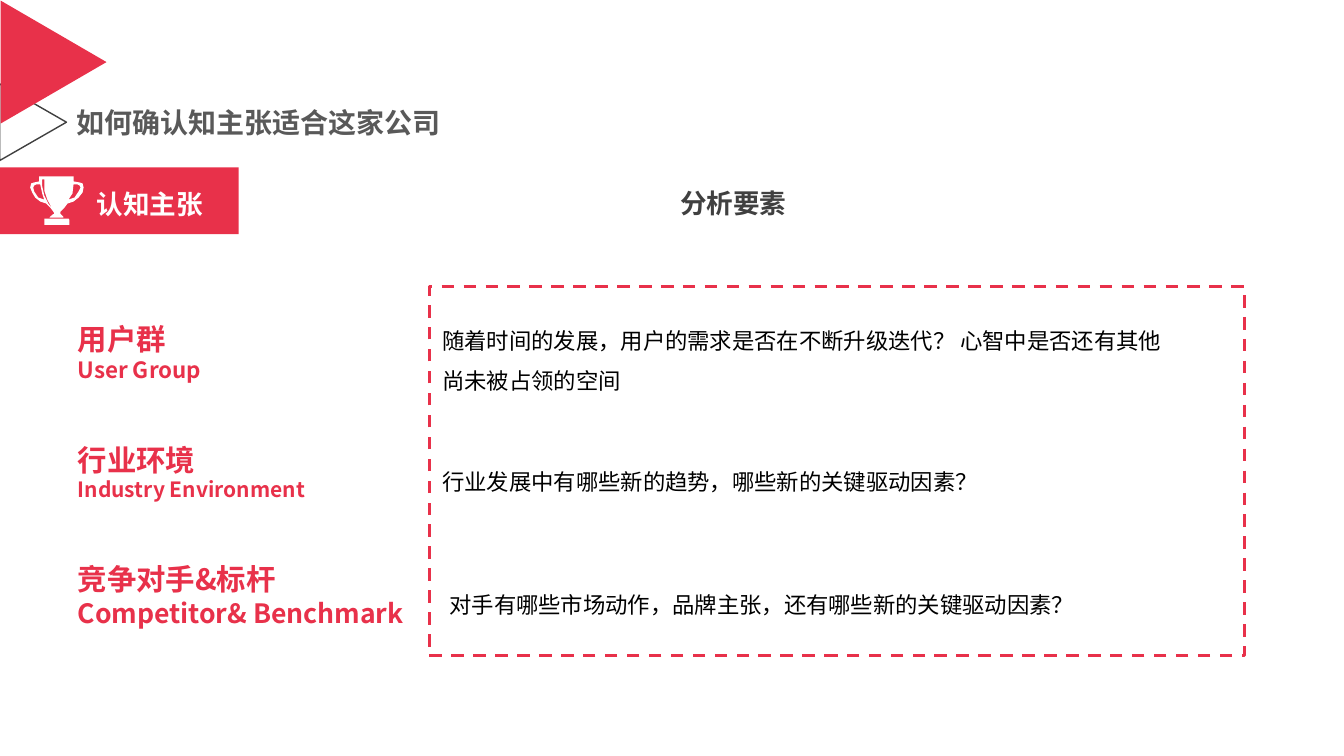
from lxml import etree
from pptx import Presentation
from pptx.dml.color import RGBColor
from pptx.enum.dml import MSO_LINE
from pptx.enum.shapes import MSO_SHAPE
from pptx.enum.text import MSO_ANCHOR, MSO_AUTO_SIZE, PP_ALIGN
from pptx.oxml.ns import qn
from pptx.util import Cm, Pt

RECT, TRIANGLE = MSO_SHAPE.RECTANGLE, MSO_SHAPE.ISOSCELES_TRIANGLE
TOP, MIDDLE = MSO_ANCHOR.TOP, MSO_ANCHOR.MIDDLE
LEFT, CENTER = PP_ALIGN.LEFT, PP_ALIGN.CENTER
FIT, FIXED = MSO_AUTO_SIZE.SHAPE_TO_FIT_TEXT, MSO_AUTO_SIZE.NONE
DASH = MSO_LINE.DASH

THEME = {
    "red": RGBColor.from_string("E8314A"),
    "dark": RGBColor.from_string("404040"),
    "grey": RGBColor.from_string("595959"),
    "black": RGBColor.from_string("000000"),
    "white": RGBColor.from_string("FFFFFF"),
    "font": "Noto Sans CJK SC",
    "banner_font": "Lato",
    "title": 20,
    "heading": 19,
    "label": 21,
    "body": 16,
}

prs = Presentation()
prs.slide_width, prs.slide_height = Cm(33.88), Cm(19.05)
s = prs.slides.add_slide(prs.slide_layouts[6])


def style(sp, fill=None, line=None, width=1):
    sp.shadow.inherit = False
    if fill:
        sp.fill.solid()
        sp.fill.fore_color.rgb = THEME[fill]
    else:
        sp.fill.background()
    if line:
        sp.line.color.rgb = THEME[line]
        sp.line.width = Pt(width)
    else:
        sp.line.fill.background()


def add_text(box, lines, color, bold=True, font="font", spacing=1.0, wrap=False,
             anchor=TOP, align=LEFT, fit=FIT, inset=(0.33, 0.18)):
    tf = s.shapes.add_textbox(*map(Cm, box)).text_frame
    tf.word_wrap, tf.auto_size, tf.vertical_anchor = wrap, fit, anchor
    tf.margin_left = tf.margin_right = Cm(inset[0])
    tf.margin_top = tf.margin_bottom = Cm(inset[1])
    for i, (text, size) in enumerate(lines):
        p = tf.add_paragraph() if i else tf.paragraphs[0]
        p.alignment, p.line_spacing = align, spacing
        r = p.add_run()
        r.text = text
        r.font.size, r.font.bold = Pt(size), bold
        r.font.name = THEME[font]
        r.font.color.rgb = THEME[color]
        ea = etree.SubElement(r.font._element, qn("a:ea"))
        ea.set("typeface", THEME["font"])


for box, fill, line in [
    ((-0.13, 2.24, 1.93, 1.68), None, "dark"),
    ((-0.2, 0.23, 3.1, 2.67), "red", None),
]:
    sp = s.shapes.add_shape(TRIANGLE, *map(Cm, box))
    sp.rotation = 90
    style(sp, fill, line)

add_text((1.8, 2.62, 9.53, 1.04), [("如何确认知主张适合这家公司", THEME["title"])],
         "grey", spacing=0.9, anchor=MIDDLE, inset=(0.13, 0.13))

LABELS = [
    ((1.63, 7.9, 6.35, 1.93), "用户群", "User Group", 16),
    ((1.63, 10.95, 7.16, 1.88), "行业环境", "Industry Environment", 15),
    ((1.63, 13.97, 16.94, 2.06), "竞争对手&标杆", "Competitor& Benchmark", 19),
]
for box, chinese, english, size in LABELS:
    add_text(box, [(chinese, THEME["label"]), (english, size)], "red", wrap=True)

QUESTIONS = [
    ((10.82, 7.72, 19.1, 2.39),
     ["随着时间的发展，用户的需求是否在不断升级迭代？ 心智中是否还有其他",
      "尚未被占领的空间"]),
    ((10.82, 11.28, 14.35, 1.37),
     ["行业发展中有哪些新的趋势，哪些新的关键驱动因素？"]),
    ((11, 14.38, 16.64, 1.37),
     ["对手有哪些市场动作，品牌主张，还有哪些新的关键驱动因素？"]),
]
for box, lines in QUESTIONS:
    add_text(box, [(text, THEME["body"]) for text in lines], "black",
             bold=False, spacing=1.5)

add_text((6.02, 3.94, 24.94, 2.44), [("分析要素", THEME["heading"])], "dark",
         spacing=0.9, wrap=True, anchor=MIDDLE, align=CENTER, fit=FIXED)

banner = s.shapes.add_shape(RECT, Cm(0), Cm(4.22), Cm(6.02), Cm(1.68))
style(banner, "red")
add_text((2.11, 4.55, 3.4, 1.14), [("认知主张", THEME["heading"])], "white",
         font="banner_font")

TROPHY = [
    [(69, 218), (69, 223), (44, 223), (44, 218), (44.5, 217.2), (46, 217),
     (67, 217), (68.5, 217.2)],
    [(67, 202), (63.5, 206.5), (60, 210), (59.5, 211.5), (61, 213), (63, 214.8),
     (63, 216), (49, 216), (49.5, 214.8), (52, 213), (53.5, 211.5), (53, 210),
     (49.5, 206.5), (46, 202), (40, 200), (35, 196), (31.5, 191), (30, 186),
     (31, 182.5), (34, 180.7), (39, 180), (39, 175), (73, 175), (73, 180),
     (79, 180.7), (82, 182.5), (83, 186), (82, 191), (78, 196), (73, 200)],
    [(52, 207), (47, 197.5), (44.5, 189), (44, 179), (43.5, 177.6), (42, 178),
     (41.6, 185), (44.5, 194), (48.5, 202)],
    [(33, 186), (34.5, 190.5), (38.5, 195.5), (44, 198), (41.5, 192), (40, 183),
     (36, 183.2), (33.7, 184.3)],
    [(73, 183), (71.5, 192), (68, 198), (74, 195.5), (78.5, 190.5), (80, 186),
     (79.3, 184.3), (77, 183.2)],
]
fb = s.shapes.build_freeform(*TROPHY[0][0], scale=Cm(2.54) / 100)
for i, outline in enumerate(TROPHY):
    if i:
        fb.move_to(*outline[0])
    fb.add_line_segments(outline[1:], close=True)
style(fb.convert_to_shape(), "white")

frame = s.shapes.add_shape(RECT, Cm(10.82), Cm(7.21), Cm(20.55), Cm(9.32))
style(frame, line="red", width=2.25)
frame.line.dash_style = DASH

prs.save("out.pptx")
